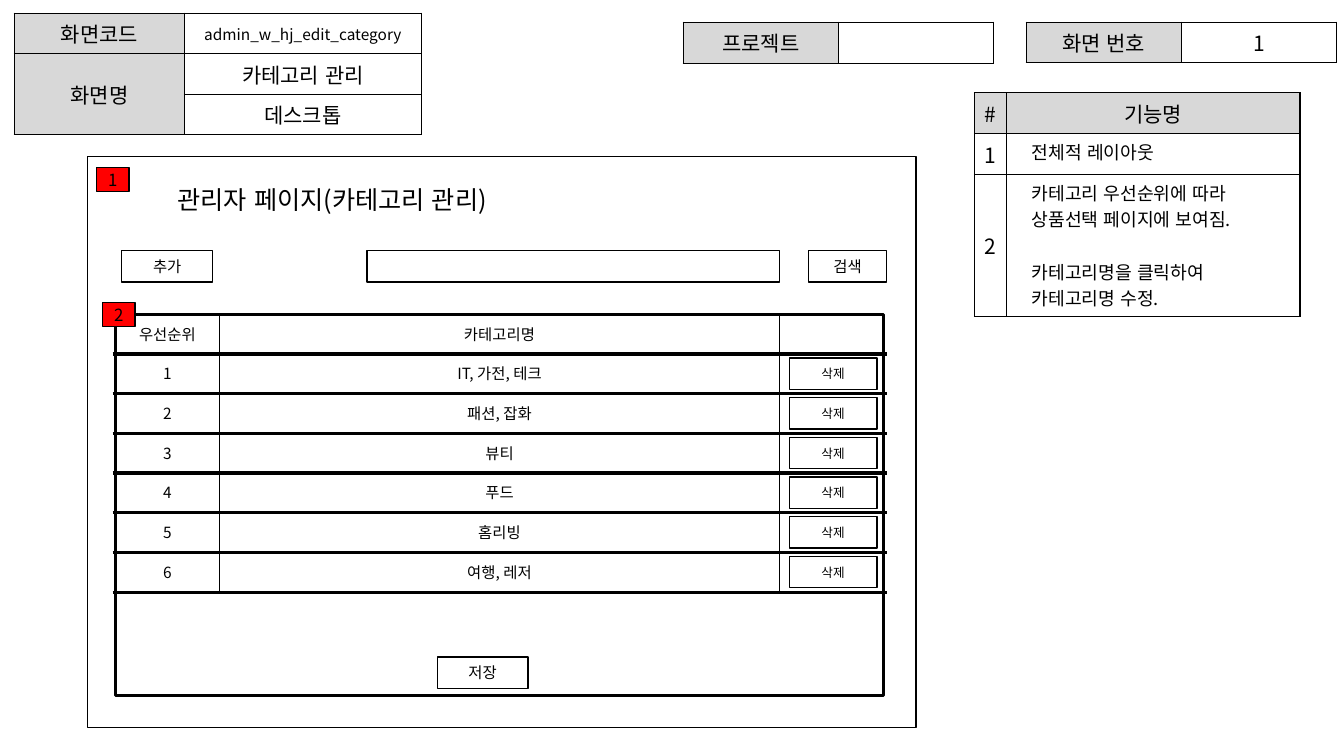
"""Build the wireframe slide for the category management screen."""
from dataclasses import dataclass

from lxml import etree
from pptx import Presentation
from pptx import util as u
from pptx.dml.color import RGBColor
from pptx.enum import shapes, text
from pptx.oxml.ns import qn

TITLE = "관리자 페이지(카테고리 관리)"
FUNCTION_NOTES = [
    ("전체적 레이아웃",),
    ("카테고리 우선순위에 따라 상품선택 페이지에 보여짐.",
     "카테고리명을 클릭하여", "카테고리명 수정."),
]
HEADER_TABLES = [
    {"at": (0.36, 0.33), "columns": (4.29, 5.97),
     "rows": [("화면코드", "admin_w_hj_edit_category"),
              ("화면명", "카테고리 관리"), ("", "데스크톱")]},
    {"at": (17.22, 0.56), "columns": (3.91, 3.91), "rows": [("프로젝트", "")]},
    {"at": (25.86, 0.56), "columns": (3.91, 3.91), "rows": [("화면 번호", "1")]},
]
CATEGORIES = [
    ("우선순위", "카테고리명"),
    ("1", "IT, 가전, 테크"),
    ("2", "패션, 잡화"),
    ("3", "뷰티"),
    ("4", "푸드"),
    ("5", "홈리빙"),
    ("6", "여행, 레저"),
]
CONTROLS = [
    ("추가", 3.07, 6.32, 2.29),
    ("", 9.25, 6.32, 10.39),
    ("검색", 20.37, 6.32, 1.98),
    ("저장", 11.02, 16.56, 2.29),
]
BADGES = [("1", 2.44, 4.22), ("2", 2.59, 7.62)]

PAGE = (2.21, 3.94, 20.88, 14.4)
PANEL = (2.92, 7.92, 19.35, 9.6)
LIST_COLUMNS = [(2.9, 2.64), (5.54, 14.1)]
DELETE_COLUMN = (19.89, 2.21)
RULE_ENDS = (2.84, 22.35)
ROW_PITCH = 1.0
BUTTON_HEIGHT = 0.79
HEADER_ROW = 0.89


@dataclass(frozen=True)
class Theme:
    """Colours, font and type sizes."""
    font: str = "Noto Sans CJK KR"
    ink: str = "000000"
    paper: str = "FFFFFF"
    label: str = "D8D8D8"
    badge: str = "FF0000"
    title: float = 18
    heading: float = 15
    note: float = 13
    marker: float = 12
    body: float = 11
    small: float = 9
    thin: float = 1
    thick: float = 2.25


THEME = Theme()


def colour(value):
    """Turn a hex string into a colour."""
    return RGBColor.from_string(value)


def style_text(frame, size, alignment=text.PP_ALIGN.CENTER):
    """Align and format every run of a text frame."""
    for paragraph in frame.paragraphs:
        paragraph.alignment = alignment
        for run in paragraph.runs:
            run.font.size = u.Pt(size)
            run.font.name = THEME.font
            run.font.color.rgb = colour(THEME.ink)
            properties = run.font._element
            properties.set("lang", "ko-KR")
            etree.SubElement(properties, qn("a:ea"), typeface=THEME.font)


def style_cell(cell, fill):
    """Give a cell thin borders, a fill and a middle anchor."""
    properties = cell._tc.get_or_add_tcPr()
    for side in ("lnL", "lnR", "lnT", "lnB"):
        line = etree.SubElement(properties, qn(f"a:{side}"), w=str(u.Pt(THEME.thin)))
        solid = etree.SubElement(line, qn("a:solidFill"))
        etree.SubElement(solid, qn("a:srgbClr"), val=THEME.ink)
    cell.fill.solid()
    cell.fill.fore_color.rgb = colour(fill)
    cell.vertical_anchor = text.MSO_ANCHOR.MIDDLE


def add_grid(slide, at, columns, heights):
    """Add a table with the given column widths and row heights."""
    size = (sum(columns), sum(heights))
    table = slide.shapes.add_table(len(heights), len(columns),
                                   *map(u.Cm, at + size)).table
    for column, width in zip(table.columns, columns):
        column.width = u.Cm(width)
    for row, height in zip(table.rows, heights):
        row.height = u.Cm(height)
    return table


def add_header_table(slide, at, columns, rows):
    """Add a table of labels and values."""
    table = add_grid(slide, at, columns, [HEADER_ROW] * len(rows))
    for r, row in enumerate(rows):
        for c, (words, fill) in enumerate(zip(row, (THEME.label, THEME.paper))):
            cell = table.cell(r, c)
            style_cell(cell, fill)
            cell.text_frame.text = words
            style_text(cell.text_frame, THEME.body if "_" in words else THEME.heading)
    if len(rows) > 1:
        table.cell(1, 0).merge(table.cell(len(rows) - 1, 0))


def add_function_table(slide):
    """Add the numbered list of functions."""
    table = add_grid(slide, (24.56, 2.34), (0.81, 7.39), (0.92, 1.04, 2.84))
    rows = [("#", ("기능명",))]
    rows += [(str(n), notes) for n, notes in enumerate(FUNCTION_NOTES, 1)]
    for r, (number, notes) in enumerate(rows):
        for c, words in enumerate((number, "\n".join(notes))):
            cell = table.cell(r, c)
            style_cell(cell, THEME.paper if r else THEME.label)
            frame = cell.text_frame
            frame.text = words
            if r and c:
                cell.vertical_anchor = text.MSO_ANCHOR.TOP
                style_text(frame, THEME.note, text.PP_ALIGN.LEFT)
                for paragraph in frame.paragraphs:
                    paragraph._p.get_or_add_pPr().set("marL", str(u.Cm(0.38)))
            else:
                style_text(frame, THEME.heading)
    table.cell(2, 1).text_frame.paragraphs[1].space_before = u.Pt(19)


def add_box(slide, box, words="", size=THEME.body, fill=None, weight=THEME.thin):
    """Add an outlined rectangle with centred text."""
    shape = slide.shapes.add_shape(shapes.MSO_SHAPE.RECTANGLE, *map(u.Cm, box))
    shape.shadow.inherit = False
    if fill:
        shape.fill.solid()
        shape.fill.fore_color.rgb = colour(fill)
    else:
        shape.fill.background()
    shape.line.color.rgb = colour(THEME.ink)
    shape.line.width = u.Pt(weight)
    shape.text_frame.text = words
    shape.text_frame.vertical_anchor = text.MSO_ANCHOR.MIDDLE
    style_text(shape.text_frame, size)


def add_rule(slide, top):
    """Add a thick line across the category list."""
    left, right = RULE_ENDS
    rule = slide.shapes.add_connector(shapes.MSO_CONNECTOR.STRAIGHT,
                                      *map(u.Cm, (left, top, right, top)))
    rule.line.color.rgb = colour(THEME.ink)
    rule.line.width = u.Pt(THEME.thick)
    etree.SubElement(rule._element.spPr, qn("a:effectLst"))


def add_title(slide):
    """Place the page heading."""
    title = slide.shapes.title
    title.left, title.top, title.width, title.height = map(u.Cm, (4.22, 4.52, 16.76, 1.02))
    frame = title.text_frame
    frame.text = TITLE
    frame.word_wrap = True
    frame.auto_size = text.MSO_AUTO_SIZE.NONE
    frame.vertical_anchor = text.MSO_ANCHOR.MIDDLE
    style_text(frame, THEME.title, text.PP_ALIGN.LEFT)


def add_category_list(slide):
    """Add the rows of categories with their delete buttons."""
    for index, row in enumerate(CATEGORIES):
        top = PANEL[1] + index * ROW_PITCH
        add_rule(slide, top + ROW_PITCH)
        for (left, width), words in zip(LIST_COLUMNS, row):
            add_box(slide, (left, top, width, ROW_PITCH), words)
        if index:
            left, width = DELETE_COLUMN
            add_box(slide, (left, top + 0.1, width, BUTTON_HEIGHT), "삭제", THEME.small)


def main():
    """Build and save the slide."""
    presentation = Presentation()
    presentation.slide_width, presentation.slide_height = u.Cm(33.87), u.Cm(19.05)
    slide = presentation.slides.add_slide(presentation.slide_layouts[5])
    add_title(slide)
    for header in HEADER_TABLES:
        add_header_table(slide, **header)
    add_function_table(slide)
    add_box(slide, PAGE)
    add_box(slide, PANEL, weight=THEME.thick)
    for words, left, top, width in CONTROLS:
        add_box(slide, (left, top, width, BUTTON_HEIGHT), words)
    add_category_list(slide)
    for words, left, top in BADGES:
        add_box(slide, (left, top, 0.81, 0.61), words, THEME.marker, THEME.badge)
    presentation.save("out.pptx")


if __name__ == "__main__":
    main()
